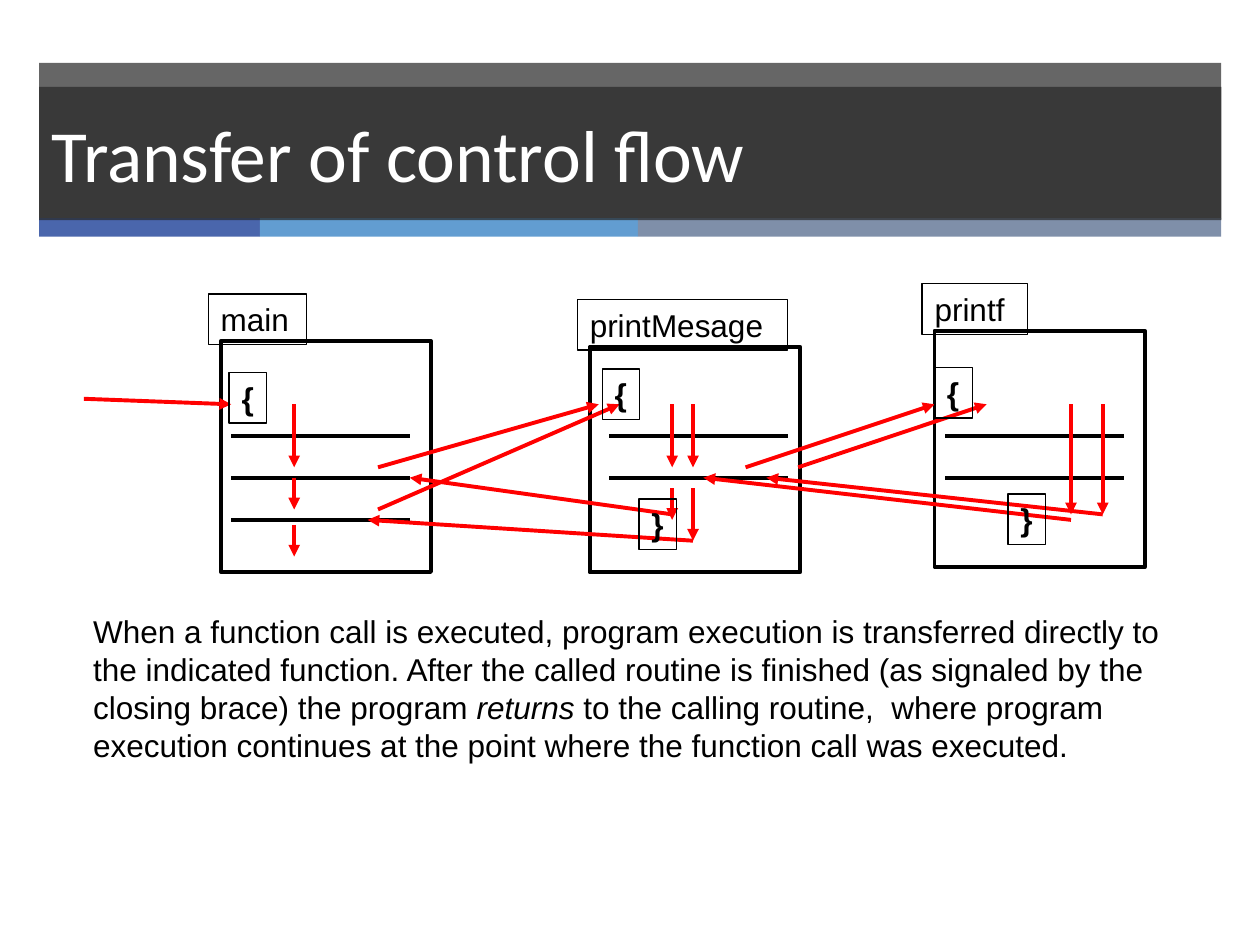
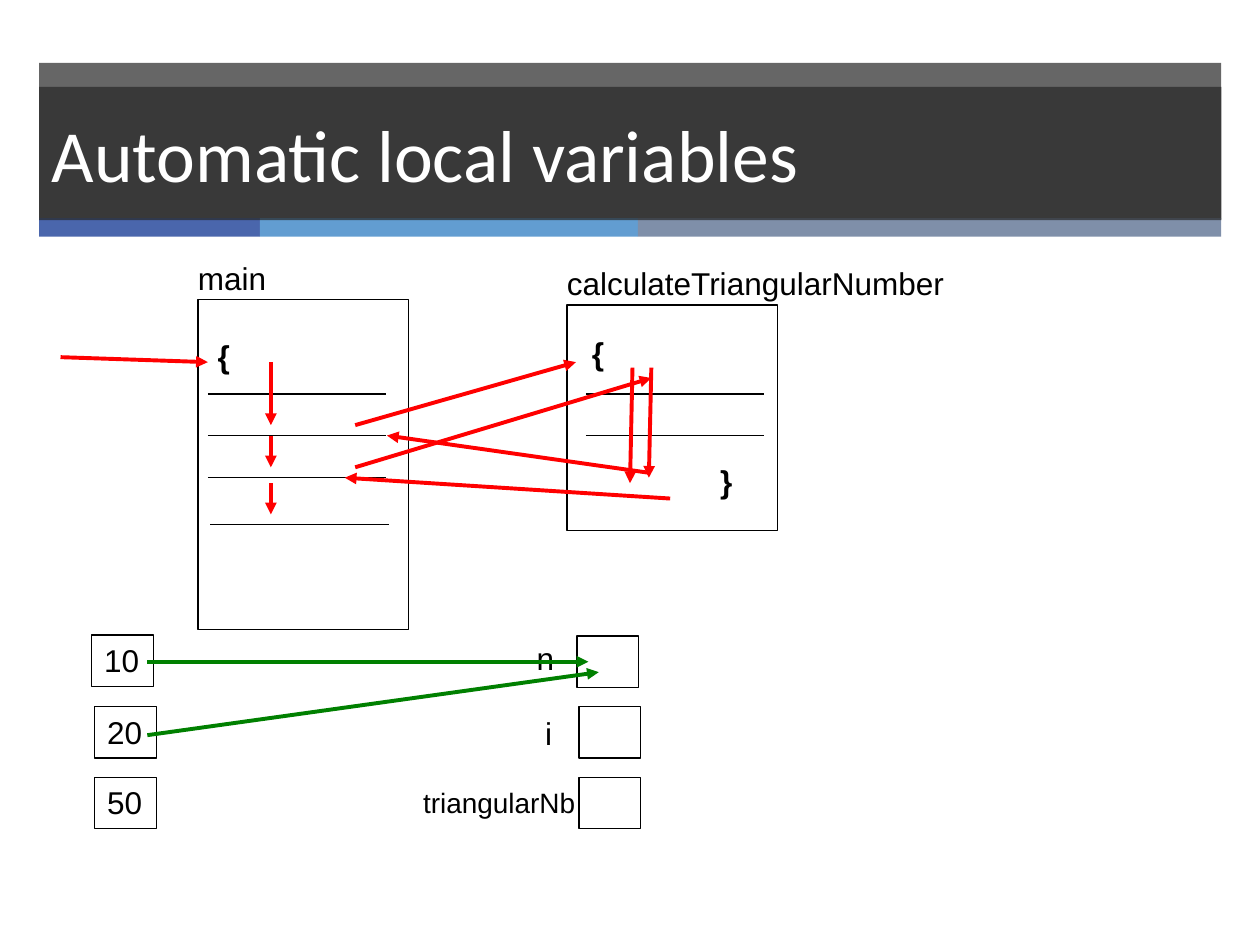
"""Build two slides on control flow between functions and local variables."""
import pptx
import pptx.dml.color
import pptx.enum.shapes
import pptx.enum.text
import pptx.oxml
import pptx.oxml.ns
import pptx.util
from lxml import etree

Cm = pptx.util.Cm
BLACK, WHITE, DARK = "000000", "FFFFFF", "262626"
RED, GREEN = "FF0000", "008000"
THIN, THICK = 0.75, 2.25
LABEL_HEIGHT = 1.02
STATEMENT_WIDTH = 3.6
RECTANGLE = pptx.enum.shapes.MSO_SHAPE.RECTANGLE
STRAIGHT = pptx.enum.shapes.MSO_CONNECTOR.STRAIGHT
BANDS = [
    (0.79, 1.27, 23.83, 3.15, DARK, 70),
    (0.79, 4.4, 4.45, 0.37, "4A66AC", 100),
    (5.24, 4.4, 7.62, 0.37, "629DD1", 100),
    (12.86, 4.4, 11.76, 0.37, "7F8FA9", 100),
]


def color(value):
    return pptx.dml.color.RGBColor.from_string(value)


def apply(target, values):
    for name, value in values.items():
        setattr(target, name, value)


class Painter:
    def __init__(self, deck):
        self.deck = deck
        self.layout = deck.slide_layouts[5]
        self.page = None

    def start_page(self, title):
        first = self.page is None
        self.page = self.deck.slides.add_slide(self.layout)
        if first:
            self.bands()
        box = self.page.shapes.title
        apply(box, dict(left=Cm(0.79), top=Cm(1.75), width=Cm(23.83), height=Cm(2.69)))
        self.fill(box, DARK, 70)
        apply(box.text_frame, dict(
            vertical_anchor=pptx.enum.text.MSO_ANCHOR.MIDDLE,
            auto_size=pptx.enum.text.MSO_AUTO_SIZE.NONE,
            word_wrap=True))
        self.add_spans(box, [(title, {})], size=42, font="Calibri", ink=WHITE)

    def bands(self):
        for left, top, width, height, shade, opacity in BANDS:
            band = self.box(left, top, width, height, 0)
            self.fill(band, shade, opacity)
            self.layout.shapes.element.append(band.element)

    def fill(self, shape, shade, opacity=100):
        shape.fill.solid()
        shape.fill.fore_color.rgb = color(shade)
        if opacity < 100:
            tint = shape.element.spPr.find(".//" + pptx.oxml.ns.qn("a:srgbClr"))
            alpha = etree.SubElement(tint, pptx.oxml.ns.qn("a:alpha"))
            alpha.set("val", str(opacity * 1000))

    def box(self, left, top, width, height, weight=THIN):
        box = self.page.shapes.add_shape(RECTANGLE, Cm(left), Cm(top), Cm(width), Cm(height))
        box.shadow.inherit = False
        box.fill.background()
        if weight:
            box.line.color.rgb = color(BLACK)
            box.line.width = pptx.util.Pt(weight)
        else:
            box.line.fill.background()
        return box

    def add_spans(self, box, pieces, size=18, font="Arial", ink=BLACK):
        para = box.text_frame.paragraphs[0]
        para.alignment = pptx.enum.text.PP_ALIGN.LEFT
        for text, extra in pieces:
            span = para.add_run()
            span.text = text
            apply(span.font, dict(size=pptx.util.Pt(size), name=font, **extra))
            span.font.color.rgb = color(ink)

    def label(self, text, left, top, width, height=LABEL_HEIGHT,
              framed=True, bold=False, size=18, wrap=False):
        if framed:
            box = self.box(left, top, width, height)
        else:
            box = self.page.shapes.add_textbox(Cm(left), Cm(top), Cm(width), Cm(height))
        apply(box.text_frame, dict(
            word_wrap=wrap,
            auto_size=pptx.enum.text.MSO_AUTO_SIZE.SHAPE_TO_FIT_TEXT,
            vertical_anchor=pptx.enum.text.MSO_ANCHOR.TOP))
        self.add_spans(box, [(text, {"bold": bold})], size)

    def function(self, name, left, top, height, name_width, weight, framed, wrap=False):
        self.box(left, top, 4.24, height, weight)
        self.label(name, left - 0.25, top - 0.95, name_width, framed=framed, wrap=wrap)

    def paragraph(self, pieces, left, top, width, height):
        box = self.page.shapes.add_textbox(Cm(left), Cm(top), Cm(width), Cm(height))
        box.text_frame.word_wrap = True
        self.add_spans(box, pieces)

    def line(self, start_x, start_y, end_x, end_y, weight=THICK, ink=BLACK):
        line = self.page.shapes.add_connector(
            STRAIGHT, Cm(start_x), Cm(start_y), Cm(end_x), Cm(end_y))
        line.line.color.rgb = color(ink)
        line.line.width = pptx.util.Pt(weight)
        etree.SubElement(line.element.spPr, pptx.oxml.ns.qn("a:effectLst"))
        return line

    def statements(self, left, rows, weight):
        for row in rows:
            self.line(left, row, left + STATEMENT_WIDTH, row, weight)

    def arrows(self, routes, ink=RED):
        for route in routes:
            arrow = self.line(*route, ink=ink)
            outline = arrow.element.spPr.find(pptx.oxml.ns.qn("a:ln"))
            etree.SubElement(outline, pptx.oxml.ns.qn("a:tailEnd")).set("type", "triangle")

    def braces(self, places, framed):
        for text, left, top in places:
            self.label(text, left, top, 0.76, framed=framed, bold=True)


def control_flow(painter):
    painter.start_page("Transfer of control flow")
    painter.function("main", 4.45, 6.88, 4.65, 1.98, THICK, True)
    painter.function("printMesage", 11.89, 6.99, 4.55, 4.24, THICK, True, wrap=True)
    painter.function("printf", 18.84, 6.67, 4.76, 2.13, THICK, True)
    rows = [8.78, 9.63, 10.48]
    painter.statements(4.66, rows, THICK)
    painter.statements(12.28, rows[:2], THICK)
    painter.statements(19.05, rows[:2], THICK)
    painter.arrows([
        (1.69, 8.04, 4.66, 8.15),
        (5.93, 8.15, 5.93, 9.42),
        (7.62, 9.42, 12.07, 8.15),
        (15.03, 9.42, 18.84, 8.15),
        (13.55, 8.15, 13.55, 9.42),
        (13.55, 9.84, 13.55, 10.48),
        (13.55, 10.37, 8.26, 9.63),
        (22.23, 10.37, 15.45, 9.63),
        (21.59, 8.15, 21.59, 10.37),
        (5.93, 9.63, 5.93, 10.27),
        (7.62, 10.27, 12.49, 8.15),
        (13.97, 8.15, 13.97, 9.42),
        (16.09, 9.42, 19.89, 8.15),
        (22.23, 8.15, 22.23, 10.37),
        (21.59, 10.48, 14.18, 9.63),
        (13.97, 9.84, 13.97, 10.9),
        (13.97, 10.9, 7.41, 10.48),
        (5.93, 10.58, 5.93, 11.22),
    ])
    painter.paragraph([
        ("When a function call is executed, program execution is transferred directly to "
         "the indicated function. After the called routine is finished (as signaled by the "
         "closing brace) the program ", {}),
        ("returns ", {"italic": True}),
        ("to the calling routine,  where program execution continues at the point where "
         "the function call was executed.", {}),
    ], 1.63, 12.22, 22.5, 3.33)
    painter.braces([
        ("{", 4.62, 7.51), ("{", 12.14, 7.44), ("{", 18.84, 7.41),
        ("}", 12.88, 10.06), ("}", 20.32, 9.96),
    ], True)


def local_variables(painter):
    painter.start_page("Automatic local variables")
    painter.function("main", 3.99, 6.04, 6.65, 1.98, THIN, False)
    painter.function("calculateTriangularNumber", 11.43, 6.15, 4.55, 8.13, THIN, False)
    rows = [7.94, 8.78, 9.63]
    painter.statements(4.19, rows, THIN)
    painter.statements(4.24, [10.58], THIN)
    painter.statements(11.81, rows[:2], THIN)
    painter.arrows([
        (1.22, 7.2, 4.19, 7.3),
        (5.46, 7.3, 5.46, 8.57),
        (7.16, 8.57, 11.61, 7.3),
        (13.13, 7.41, 13.08, 9.63),
        (13.08, 9.53, 7.8, 8.78),
        (5.46, 8.78, 5.46, 9.42),
        (7.16, 9.42, 13.13, 7.62),
        (12.75, 7.41, 12.7, 9.74),
        (13.51, 10.05, 6.95, 9.63),
        (5.46, 9.74, 5.46, 10.37),
    ])
    painter.braces([("{", 4.14, 6.67), ("{", 11.68, 6.6), ("}", 14.27, 9.19)], False)
    for value, left, top in [("10", 1.85, 12.8), ("20", 1.91, 14.24), ("50", 1.91, 15.67)]:
        painter.label(value, left, top, 1.24, 1.04)
    for left, top in [(11.63, 12.82), (11.67, 14.24), (11.67, 15.67)]:
        painter.box(left, top, 1.24, 1.04)
    painter.label("n", 10.57, 12.75, 0.86, framed=False)
    painter.label("i", 10.74, 14.27, 0.66, framed=False)
    painter.label("triangularNb", 8.28, 15.72, 3.58, 0.94, framed=False, size=16)
    painter.arrows([(2.97, 13.34, 11.86, 13.34), (2.97, 14.82, 12.07, 13.55)], GREEN)


def main():
    deck = pptx.Presentation()
    apply(deck, dict(slide_width=Cm(25.4), slide_height=Cm(19.05)))
    painter = Painter(deck)
    control_flow(painter)
    local_variables(painter)
    deck.save("out.pptx")


if __name__ == "__main__":
    main()
